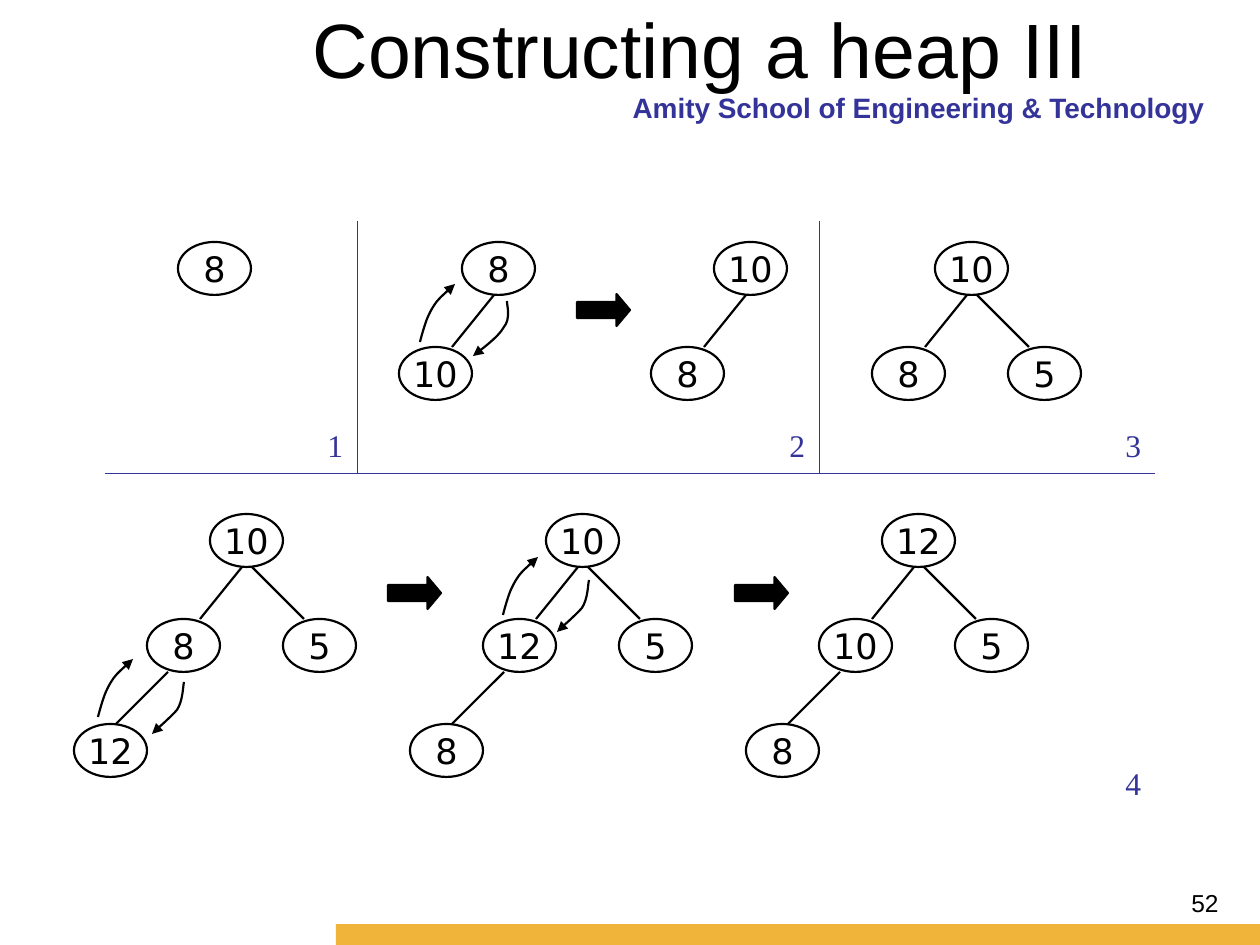
from pptx import Presentation
from pptx.dml.color import RGBColor
from pptx.enum.shapes import MSO_CONNECTOR, MSO_SHAPE
from pptx.enum.text import MSO_ANCHOR, MSO_AUTO_SIZE, PP_ALIGN
from pptx.oxml.ns import qn
from pptx.util import Emu, Pt
from lxml import etree

PX = 914400 / 126
LINE = MSO_CONNECTOR.STRAIGHT
ELLIPSE, RECTANGLE, ARROW = MSO_SHAPE.OVAL, MSO_SHAPE.RECTANGLE, MSO_SHAPE.RIGHT_ARROW
LEFT, CENTER, RIGHT = PP_ALIGN.LEFT, PP_ALIGN.CENTER, PP_ALIGN.RIGHT
TOP, MIDDLE = MSO_ANCHOR.TOP, MSO_ANCHOR.MIDDLE
NO_AUTOFIT = MSO_AUTO_SIZE.NONE

COLORS = {"ink": "000000", "navy": "333399", "gold": "F1B43B"}
NODE_W, NODE_H = 73, 53

# Heap slots in array order: offset of the node from the root
SLOTS = [(0, 0), (-63, 105), (73, 105), (-136, 210)]
# Edge into each slot but the root, as start and end offsets from the root
EDGES = [
    ((32, 53), (-10, 105)),
    ((42, 53), (94, 105)),
    ((-42, 158), (-94, 210)),
]

# Bezier control points: a start, then three points for each segment
RISE = [(0, 58), (1, 54), (4, 43), (7, 35), (10, 28), (14, 20), (20, 14),
        (25, 9), (32, 3), (35, 0)]
WIDE_FALL = [(34, 0), (34, 4), (38, 18), (31, 26), (25, 37), (6, 50), (0, 55)]
FALL = [(32, 0), (31, 4), (31, 19), (25, 28), (19, 35), (5, 47), (0, 52)]


def px(length):
    return Emu(round(length * PX))


def color(name):
    return RGBColor.from_string(COLORS[name])


def style_text(frame, text, size, font, ink, align=LEFT, bold=False):
    frame.text = text
    paragraph = frame.paragraphs[0]
    paragraph.alignment = align
    paragraph.font.size = Pt(size)
    paragraph.font.name = font
    paragraph.font.bold = bold
    paragraph.font.color.rgb = color(ink)


def add_label(slide, box, text, size, font, ink, align=LEFT, bold=False):
    label = slide.shapes.add_textbox(*map(px, box))
    label.text_frame.word_wrap = True
    style_text(label.text_frame, text, size, font, ink, align, bold)


def add_line(slide, start, end, ink="ink", width=1.25):
    line = slide.shapes.add_connector(LINE, *map(px, (*start, *end)))
    line.line.color.rgb = color(ink)
    line.line.width = Pt(width)
    etree.SubElement(line._element.spPr, qn("a:effectLst"))


def add_preset(slide, kind, box, fill=None, outline=None):
    shape = slide.shapes.add_shape(kind, *map(px, box))
    shape.shadow.inherit = False
    if fill:
        shape.fill.solid()
        shape.fill.fore_color.rgb = color(fill)
    else:
        shape.fill.background()
    if outline:
        shape.line.color.rgb = color(outline)
        shape.line.width = Pt(1.25)
    else:
        shape.line.fill.background()
    return shape


def add_tree(slide, left, top, keys):
    """Draw the heap whose root has its corner at left, top."""
    for key, (dx, dy) in zip(keys, SLOTS):
        box = (left + dx, top + dy, NODE_W, NODE_H)
        node = add_preset(slide, ELLIPSE, box, outline="ink")
        frame = node.text_frame
        frame.word_wrap = False
        frame.vertical_anchor = MIDDLE
        style_text(frame, str(key), 20, "DejaVu Sans", "ink", CENTER)
    for (x1, y1), (x2, y2) in EDGES[:len(keys) - 1]:
        add_line(slide, (left + x1, top + y1), (left + x2, top + y2))


def bezier_points(controls, steps=8):
    points = [controls[0]]
    for i in range(0, len(controls) - 1, 3):
        segment = controls[i:i + 4]
        for step in range(1, steps + 1):
            t = step / steps
            weights = ((1 - t) ** 3, 3 * t * (1 - t) ** 2, 3 * t * t * (1 - t), t ** 3)
            points.append(tuple(sum(w * p[axis] for w, p in zip(weights, segment))
                                for axis in (0, 1)))
    return points


def add_swap_arrow(slide, left, top, controls):
    points = [(px(left + x), px(top + y)) for x, y in bezier_points(controls)]
    builder = slide.shapes.build_freeform(*points[0])
    builder.add_line_segments(points[1:], close=False)
    curve = builder.convert_to_shape()
    curve.shadow.inherit = False
    curve.fill.background()
    curve.line.color.rgb = color("ink")
    curve.line.width = Pt(1.25)
    etree.SubElement(curve.line._get_or_add_ln(), qn("a:tailEnd"), type="triangle")


def add_step_arrow(slide, left, top):
    arrow = add_preset(slide, ARROW, (left, top, 53, 32), "ink", "ink")
    arrow.adjustments[0] = 0.5
    arrow.adjustments[1] = 0.42


def add_step_number(slide, left, top, number):
    add_label(slide, (left, top, 53, 50), str(number), 18, "Times New Roman", "navy")


def add_frame(slide):
    """Place the title, school name, page number and bottom bar."""
    title = slide.shapes.title
    title.left, title.top, title.width, title.height = map(px, (82, -5, 1086, 183))
    frame = title.text_frame
    frame.auto_size = NO_AUTOFIT
    frame.vertical_anchor = TOP
    frame.margin_left = px(163)
    style_text(frame, "Constructing a heap III", 44, "Arial", "ink", CENTER)
    add_label(slide, (514, 84, 703, 42), "Amity School of Engineering & Technology",
              16, "Arial", "navy", RIGHT, bold=True)
    add_preset(slide, RECTANGLE, (336, 924, 924, 21), "gold")
    add_label(slide, (937, 882, 294, 66), "52", 14, "Arial", "ink", RIGHT)


def add_first_steps(slide, left, top, width, height):
    """Steps 1 to 3, ruled off from each other and from the row below."""
    bottom = top + height
    add_line(slide, (left, bottom), (left + width, bottom), "navy", 0.5)
    for divider in (left + 252, left + 714):
        add_line(slide, (divider, top), (divider, bottom), "navy", 0.5)
    for number, dx in enumerate((210, 672, 1008), 1):
        add_step_number(slide, left + dx, bottom - 53, number)
    for dx, keys in ((73, [8]), (357, [8, 10]), (609, [10, 8]), (830, [10, 8, 5])):
        add_tree(slide, left + dx, top + 21, keys)
    add_step_arrow(slide, left + 472, top + 73)
    add_swap_arrow(slide, left + 315, top + 63, RISE)
    add_swap_arrow(slide, left + 368, top + 80, WIDE_FALL)


def add_last_step(slide, left, top):
    """Step 4: the new key climbs two levels across three trees."""
    for i, keys in enumerate(([10, 8, 5, 12], [10, 12, 5, 8], [12, 10, 5, 8])):
        add_tree(slide, left + 137 + 336 * i, top, keys)
    for dx in (315, 662):
        add_step_arrow(slide, left + dx, top + 63)
    for dx, dy in ((25, 145), (430, 43)):
        add_swap_arrow(slide, left + dx, top + dy, RISE)
        add_swap_arrow(slide, left + dx + 54, top + dy + 23, FALL)
    add_step_number(slide, left + 1040, top + 244, 4)


def main():
    deck = Presentation()
    deck.slide_width, deck.slide_height = px(1260), px(945)
    slide = deck.slides.add_slide(deck.slide_layouts[5])
    add_frame(slide)
    add_first_steps(slide, 105, 221, 1050, 252)
    add_last_step(slide, 73, 514)
    deck.save("out.pptx")


if __name__ == "__main__":
    main()
